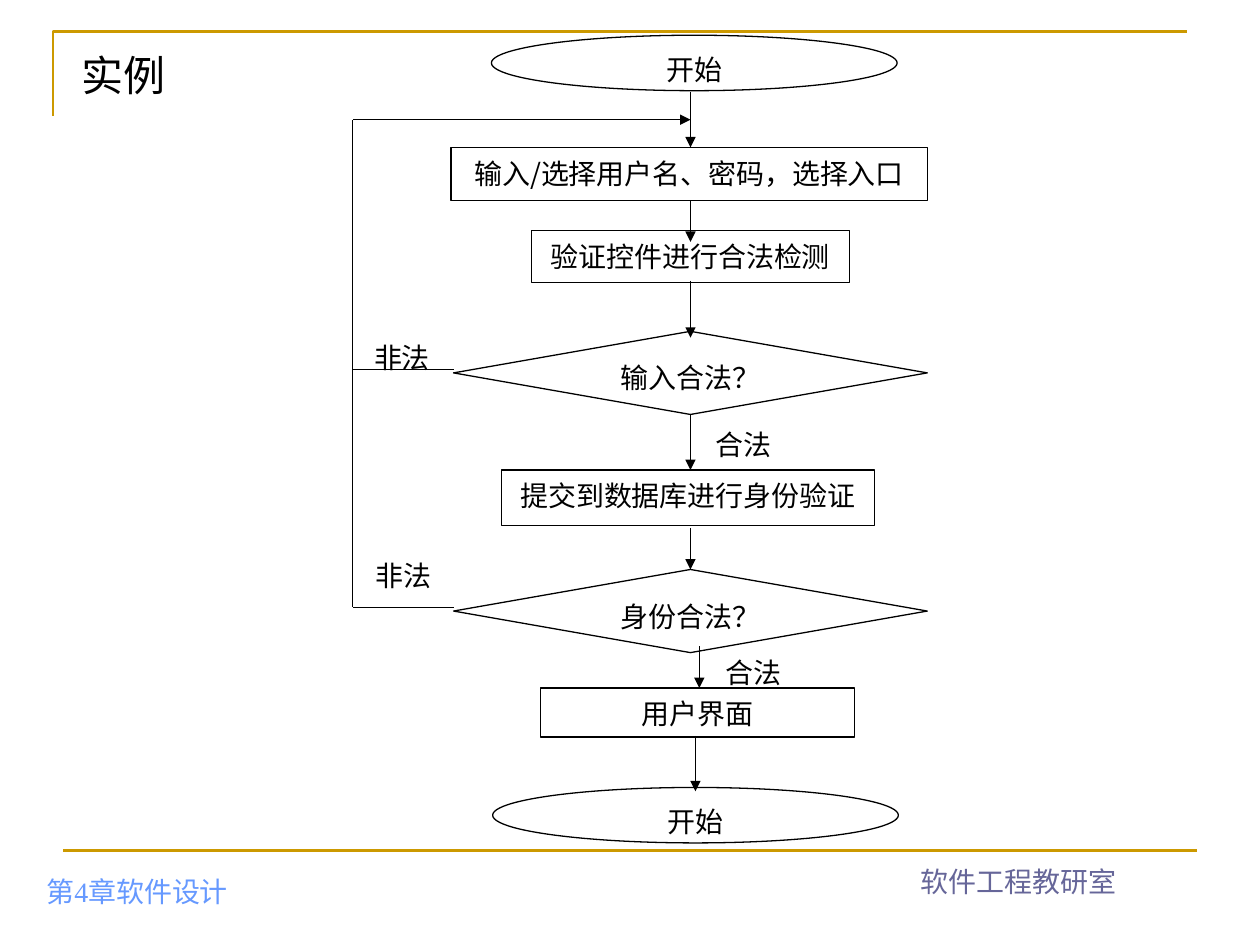
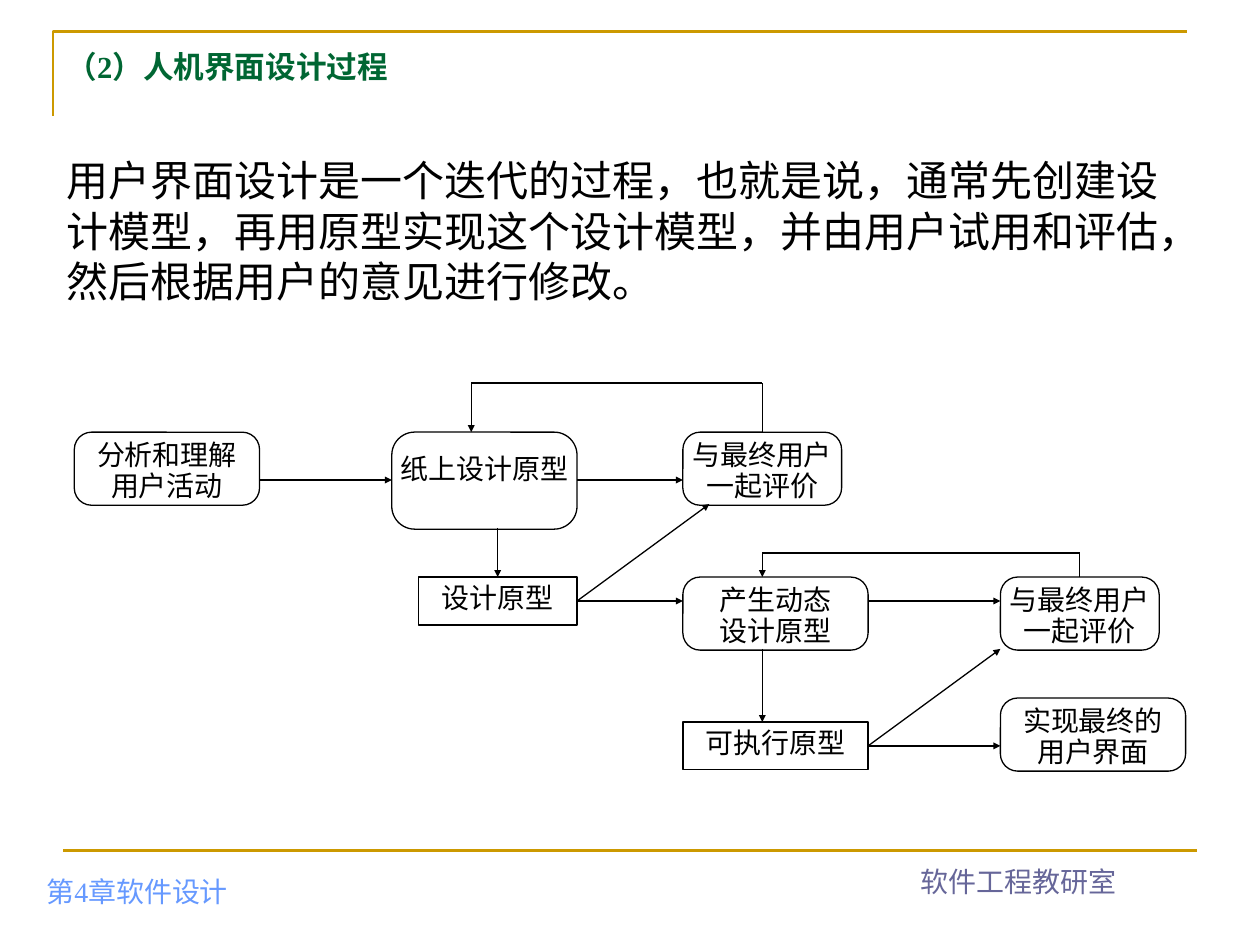
from lxml import etree
from pptx import Presentation
from pptx.dml.color import RGBColor
from pptx.enum.shapes import MSO_CONNECTOR, MSO_SHAPE
from pptx.enum.text import MSO_ANCHOR, PP_ALIGN
from pptx.oxml.ns import qn
from pptx.util import Inches, Pt

OVAL, RECT = MSO_SHAPE.OVAL, MSO_SHAPE.RECTANGLE
DIAMOND, ROUND = MSO_SHAPE.DIAMOND, MSO_SHAPE.ROUNDED_RECTANGLE
STRAIGHT = MSO_CONNECTOR.STRAIGHT
TOP, BOTTOM = MSO_ANCHOR.TOP, MSO_ANCHOR.BOTTOM
LEFT, CENTER, JUSTIFY = PP_ALIGN.LEFT, PP_ALIGN.CENTER, PP_ALIGN.JUSTIFY

COLORS = {
    "ink": "000000", "paper": "FFFFFF", "gold": "CC9900",
    "chapter": "6699FF", "department": "666699", "heading": "006633",
}
CJK, SERIF, SANS = "Noto Sans CJK SC", "Times New Roman", "Arial"
TIGHT = 0.95  # line pitch, in ems, of stacked labels

# Shared frame and footers
FRAME = [(0.42, 0.92), (0.42, 0.25), (9.42, 0.25)]
FOOTER_RULE = (0.5, 6.75, 9.5, 6.75)
FOOTERS = [
    ("第4章软件设计", (0.27, 6.74, 3.15, 0.5), "chapter", LEFT),
    ("软件工程教研室", (6.5, 6.66, 3.17, 0.5), "department", CENTER),
]

# Slide 1: login flowchart
LOGIN_TITLE = "实例"
LOGIN_STEPS = [
    (OVAL, "开始", (3.9, 0.28, 3.22, 0.44)),
    (RECT, "输入/选择用户名、密码，选择入口", (3.58, 1.17, 3.78, 0.42)),
    (RECT, "验证控件进行合法检测", (4.22, 1.83, 2.52, 0.41)),
    (DIAMOND, "输入合法？", (3.6, 2.63, 3.76, 0.66)),
    (RECT, "提交到数据库进行身份验证", (3.98, 3.73, 2.96, 0.44)),
    (DIAMOND, "身份合法？", (3.6, 4.52, 3.76, 0.66)),
    (RECT, "用户界面", (4.29, 5.46, 2.49, 0.39)),
    (OVAL, "开始", (3.91, 6.25, 3.22, 0.44)),
]
DOWN_ARROWS = [  # x, from y, to y
    (5.48, 0.73, 1.17), (5.48, 1.59, 1.92), (5.48, 2.23, 2.68),
    (5.48, 3.29, 3.73), (5.48, 4.19, 4.52), (5.55, 5.13, 5.46),
    (5.52, 5.84, 6.28),
]
RETRY_X, RETRY_TOP, REJECT_YS = 2.8, 0.95, (2.93, 4.82)
BRANCH_LABELS = [
    ("合法", (5.47, 3.32, 0.86, 0.33), CENTER),
    ("非法", (2.87, 2.63, 0.71, 0.31), JUSTIFY),
    ("非法", (2.88, 4.36, 0.71, 0.35), JUSTIFY),
    ("合法", (5.55, 5.13, 0.86, 0.33), CENTER),
]

# Slide 2: interface design process
PROCESS_TITLE = "（2）人机界面设计过程"
PROCESS_TEXT = ("用户界面设计是一个迭代的过程，也就是说，通常先创建设计模型，"
                "再用原型实现这个设计模型，并由用户试用和评估，"
                "然后根据用户的意见进行修改。")
ACTIVITIES = [
    ("分析和理解\n用户活动", (0.59, 3.43, 1.47, 0.58)),
    ("与最终用户\n一起评价", (5.42, 3.43, 1.26, 0.58)),
    ("产生动态\n设计原型", (5.42, 4.58, 1.47, 0.58)),
    ("实现最终的\n用户界面", (7.94, 5.54, 1.47, 0.58)),
    ("与最终用户\n一起评价", (7.94, 4.58, 1.26, 0.58)),
    ("纸上设计原型", (3.11, 3.43, 1.47, 0.77)),
]
PROTOTYPES = [
    ("设计原型", (3.32, 4.58, 1.26, 0.38)),
    ("可执行原型", (5.42, 5.73, 1.47, 0.38)),
]
PROCESS_ARROWS = [
    (2.06, 3.81, 3.11, 3.81), (4.58, 3.81, 5.42, 3.81),
    (3.95, 4.19, 3.95, 4.58), (4.58, 4.77, 5.63, 4),
    (4.58, 4.77, 5.42, 4.77), (6.89, 4.77, 7.94, 4.77),
    (6.05, 5.15, 6.05, 5.73), (6.89, 5.92, 7.94, 5.15),
    (6.89, 5.92, 7.94, 5.92),
]
FEEDBACK_LOOPS = [  # arrow x, start x, loop y, box top
    (3.74, 6.05, 3.04, 3.43), (6.05, 8.57, 4.39, 4.58),
]


def color(name):
    return RGBColor.from_string(COLORS[name])


def write(shape, text, *, size=16, font=CJK, ink="ink", bold=False,
          align=CENTER, anchor=TOP, insets=(0.1, 0.07, 0.1, 0.03),
          pitch=1.2, after=0):
    """Fill a shape with text, one paragraph per line; pitch is in ems."""
    frame = shape.text_frame
    frame.word_wrap = True
    frame.vertical_anchor = anchor
    (frame.margin_left, frame.margin_top,
     frame.margin_right, frame.margin_bottom) = map(Inches, insets)
    frame.text = text
    for paragraph in frame.paragraphs:
        paragraph.alignment = align
        paragraph.line_spacing = Pt(round(size * pitch, 1))
        paragraph.space_after = Pt(after)
        for run in paragraph.runs:
            run.font.name, run.font.size = font, Pt(size)
            run.font.bold, run.font.color.rgb = bold, color(ink)
            east_asian = etree.Element(qn("a:ea"), typeface=CJK)
            run.font._element.find(qn("a:latin")).addnext(east_asian)


def add_text(slide, text, at, **style):
    write(slide.shapes.add_textbox(*map(Inches, at)), text, **style)


def add_box(slide, preset, text, at, **style):
    box = slide.shapes.add_shape(preset, *map(Inches, at))
    box.shadow.inherit = False
    box.fill.solid()
    box.fill.fore_color.rgb = color("paper")
    box.line.color.rgb = color("ink")
    box.line.width = Pt(0.75)
    if preset == ROUND:
        box.adjustments[0] = 0.236
    write(box, text, **style)


def add_line(slide, ends, *, ink="ink", width=0.75, head=None):
    """Draw a line; head is the arrowhead size at its end, if any."""
    line = slide.shapes.add_connector(STRAIGHT, *map(Inches, ends))
    line.line.color.rgb = color(ink)
    line.line.width = Pt(width)
    if head:
        etree.SubElement(line.line._get_or_add_ln(), qn("a:tailEnd"),
                         type="triangle", w=head, len=head)
    etree.SubElement(line._element.spPr, qn("a:effectLst"))


def add_slide(deck):
    """Blank slide with the gold frame and the footers."""
    slide = deck.slides.add_slide(deck.slide_layouts[6])
    corner = [(Inches(x), Inches(y)) for x, y in FRAME]
    builder = slide.shapes.build_freeform(*corner[0])
    builder.add_line_segments(corner[1:], close=False)
    frame = builder.convert_to_shape()
    frame.shadow.inherit = False
    frame.fill.background()
    frame.line.color.rgb = color("gold")
    frame.line.width = Pt(1.5)
    add_line(slide, FOOTER_RULE, ink="gold", width=1.5)
    for text, at, ink, align in FOOTERS:
        add_text(slide, text, at, font=SERIF, ink=ink, align=align,
                 anchor=BOTTOM)
    return slide


def build_login(deck):
    slide = add_slide(deck)
    for preset, text, at in LOGIN_STEPS:
        add_box(slide, preset, text, at)
    for x, start, end in DOWN_ARROWS:
        add_line(slide, (x, start, x, end), head="med")
    # Rejected input returns to the first step
    for y in REJECT_YS:
        add_line(slide, (3.6, y, RETRY_X, y))
    add_line(slide, (RETRY_X, REJECT_YS[-1], RETRY_X, RETRY_TOP))
    add_line(slide, (RETRY_X, RETRY_TOP, 5.48, RETRY_TOP), head="med")
    for text, at, align in BRANCH_LABELS:
        add_text(slide, text, at, align=align)
    add_text(slide, LOGIN_TITLE, (0.55, 0.31, 1.57, 1.11), size=24,
             font=SANS, align=LEFT, insets=(0.1, 0.08, 0.1, 0.05))


def build_process(deck):
    slide = add_slide(deck)
    add_text(slide, PROCESS_TITLE, (0.43, 0.36, 9.01, 0.71), size=17.5,
             font=SERIF, ink="heading", bold=True, align=LEFT, pitch=TIGHT,
             insets=(0.1, 0.08, 0.1, 0.05))
    for text, at in ACTIVITIES:
        stacked = "\n" in text
        add_box(slide, ROUND, text, at, font=SERIF, after=2.5,
                pitch=TIGHT if stacked else 1.2,
                insets=(0, 0.06 if stacked else 0.1, 0, 0))
    for text, at in PROTOTYPES:
        add_box(slide, RECT, text, at, font=SERIF,
                insets=(0.06, 0.03, 0.06, 0.01))
    for ends in PROCESS_ARROWS:
        add_line(slide, ends, head="sm")
    for arrow_x, start_x, loop_y, box_top in FEEDBACK_LOOPS:
        add_line(slide, (start_x, box_top, start_x, loop_y))
        add_line(slide, (start_x, loop_y, arrow_x, loop_y))
        add_line(slide, (arrow_x, loop_y, arrow_x, box_top), head="sm")
    add_text(slide, PROCESS_TEXT, (0.43, 1.15, 9.06, 1.3), size=24,
             font=SANS, align=LEFT, insets=(0.1, 0.08, 0.1, 0.05))


def main():
    deck = Presentation()
    deck.slide_width, deck.slide_height = Inches(10), Inches(7.5)
    build_login(deck)
    build_process(deck)
    deck.save("out.pptx")


if __name__ == "__main__":
    main()
